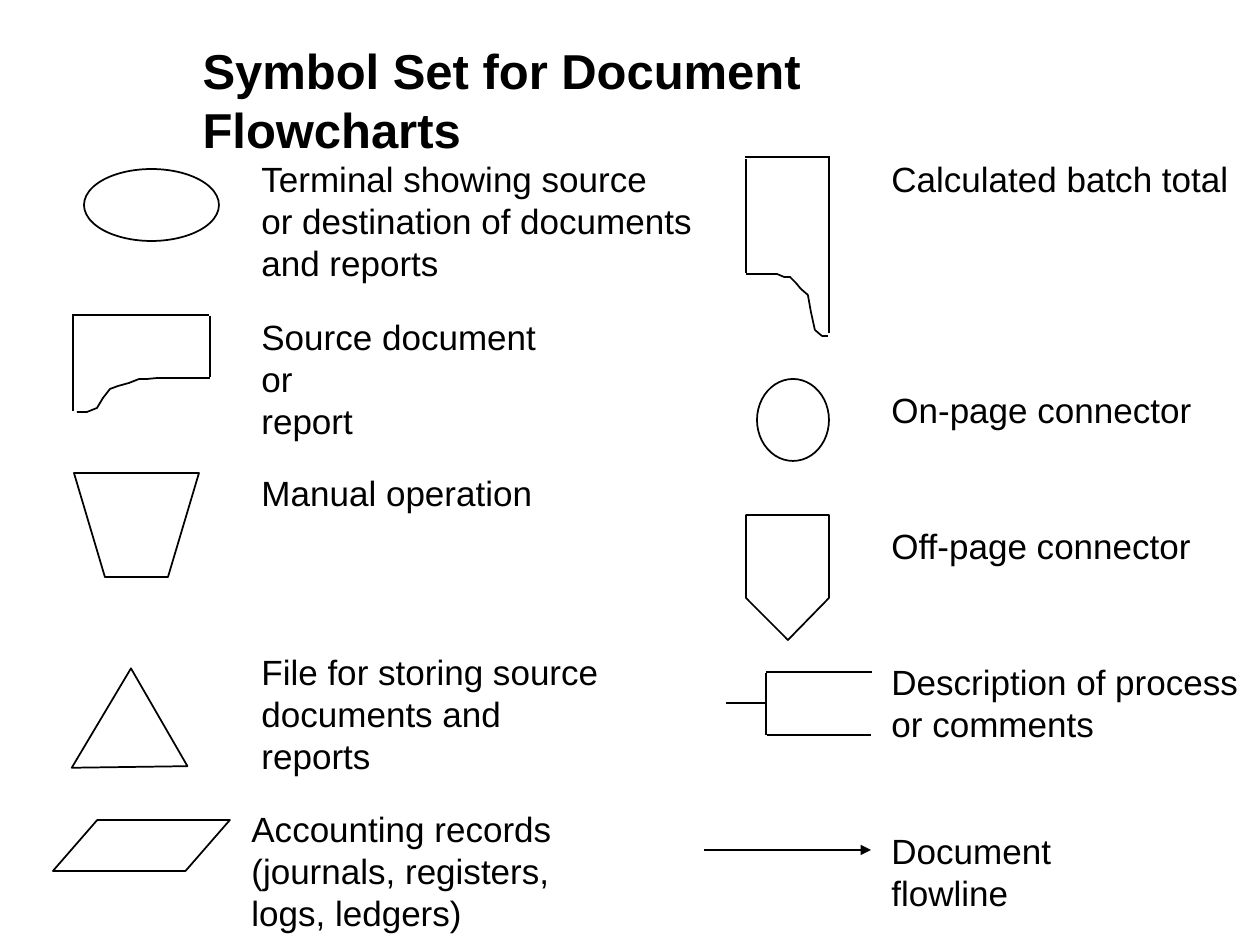
from typing import NamedTuple

from lxml import etree
from pptx import Presentation
from pptx.dml.color import RGBColor
from pptx.enum.shapes import MSO_CONNECTOR, MSO_SHAPE
from pptx.enum.text import MSO_ANCHOR, MSO_AUTO_SIZE, PP_ALIGN
from pptx.oxml.ns import qn
from pptx.util import Emu, Inches, Pt

STRAIGHT = MSO_CONNECTOR.STRAIGHT
ELLIPSE = MSO_SHAPE.OVAL
TRIANGLE = MSO_SHAPE.ISOSCELES_TRIANGLE
PARALLELOGRAM = MSO_SHAPE.PARALLELOGRAM
LEFT = PP_ALIGN.LEFT
TOP = MSO_ANCHOR.TOP
GROW = MSO_AUTO_SIZE.SHAPE_TO_FIT_TEXT

EMU_PER_PX = 914400 / 126
COLORS = {"ink": "000000", "paper": "FFFFFF"}
TITLE_FONT = {"name": "Arial", "size": Pt(28), "bold": True}
LABEL_FONT = {"name": "Arial", "size": Pt(20), "bold": False}
FRAME_FORMAT = {"word_wrap": False, "auto_size": GROW, "vertical_anchor": TOP}
LINE_HEIGHT = 42
LABEL_PADDING = 13

Point = tuple[int, int]


class Label(NamedTuple):
    left: int
    top: int
    width: int
    text: str


class Preset(NamedTuple):
    kind: MSO_SHAPE
    left: int
    top: int
    width: int
    height: int
    rotation: int = 0
    adjustment: float | None = None


class Outline(NamedTuple):
    points: list[Point]
    closed: bool = True


class Stroke(NamedTuple):
    start: Point
    end: Point
    arrow: bool = False


class Composite(NamedTuple):
    strokes: list[Stroke]
    curve: Outline | None = None


PRESETS = [
    Preset(ELLIPSE, 84, 169, 135, 72),
    Preset(TRIANGLE, 59, 692, 113, 101, rotation=240),
    Preset(PARALLELOGRAM, 53, 820, 177, 51, adjustment=0.87),
    Preset(ELLIPSE, 757, 379, 72, 82),
]

MANUAL_OPERATION = Outline([(74, 473), (105, 577), (168, 577), (199, 473)])
OFF_PAGE_CONNECTOR = Outline(
    [(746, 515), (746, 598), (788, 640), (829, 598), (829, 515)]
)

SOURCE_DOCUMENT = Composite(
    [
        Stroke((74, 315), (209, 315)),
        Stroke((210, 316), (210, 377)),
        Stroke((73, 411), (73, 314)),
        Stroke((210, 378), (156, 378)),
    ],
    Outline(
        [(157, 378), (147, 379), (139, 379), (129, 383), (118, 386),
         (110, 389), (103, 398), (97, 408), (87, 412), (77, 412)],
        closed=False,
    ),
)
BATCH_TOTAL = Composite(
    [
        Stroke((830, 157), (745, 157)),
        Stroke((746, 159), (746, 273)),
        Stroke((829, 333), (829, 156)),
        Stroke((746, 274), (777, 274)),
    ],
    Outline(
        [(777, 274), (784, 277), (790, 277), (796, 283), (801, 289),
         (808, 295), (811, 312), (815, 330), (822, 336), (828, 336)],
        closed=False,
    ),
)
COMMENT_BRACKET = Composite(
    [
        Stroke((872, 672), (766, 672)),
        Stroke((766, 673), (766, 735)),
        Stroke((767, 735), (871, 735)),
        Stroke((726, 703), (766, 703)),
    ]
)
FLOWLINE = Stroke((704, 850), (871, 850), arrow=True)

TITLE = Label(190, 34, 895, "Symbol Set for Document Flowcharts")
LABELS = [
    Label(249, 151, 456,
          "Terminal showing source\nor destination of documents\nand reports"),
    Label(249, 309, 340, "Source document or\nreport"),
    Label(249, 465, 296, "Manual operation"),
    Label(249, 644, 362, "File for storing source\ndocuments and\nreports"),
    Label(239, 801, 325,
          "Accounting records\n(journals, registers,\nlogs, ledgers)"),
    Label(879, 151, 363, "Calculated batch total"),
    Label(879, 382, 325, "On-page connector"),
    Label(879, 518, 325, "Off-page connector"),
    Label(879, 654, 372, "Description of process\nor comments"),
    Label(879, 823, 311, "Document flowline"),
]


def px(length: int) -> Emu:
    return Emu(round(length * EMU_PER_PX))


def ink_line(shape) -> None:
    shape.line.color.rgb = RGBColor.from_string(COLORS["ink"])
    shape.line.width = Pt(1)


def style_symbol(shape) -> None:
    shape.shadow.inherit = False
    shape.fill.background()
    ink_line(shape)


def draw_preset(shapes, preset: Preset) -> None:
    symbol = shapes.add_shape(preset.kind, *map(px, preset[1:5]))
    symbol.rotation = preset.rotation
    if preset.adjustment is not None:
        symbol.adjustments[0] = preset.adjustment
    style_symbol(symbol)


def draw_outline(shapes, outline: Outline) -> None:
    first, *rest = outline.points
    builder = shapes.build_freeform(*first, scale=EMU_PER_PX)
    builder.add_line_segments(rest, close=outline.closed)
    style_symbol(builder.convert_to_shape())


def draw_stroke(shapes, stroke: Stroke) -> None:
    connector = shapes.add_connector(
        STRAIGHT, *map(px, stroke.start + stroke.end)
    )
    ink_line(connector)
    properties = connector._element.spPr
    etree.SubElement(properties, qn("a:effectLst"))
    if stroke.arrow:
        etree.SubElement(properties.find(qn("a:ln")), qn("a:tailEnd"), type="triangle")


def draw_composite(shapes, composite: Composite) -> None:
    members = shapes.add_group_shape().shapes
    for stroke in composite.strokes:
        draw_stroke(members, stroke)
    if composite.curve:
        draw_outline(members, composite.curve)


def write_text(box, text: str, font_format: dict) -> None:
    frame = box.text_frame
    frame.text = text
    for attribute, value in FRAME_FORMAT.items():
        setattr(frame, attribute, value)
    for paragraph in frame.paragraphs:
        paragraph.alignment = LEFT
        for attribute, value in font_format.items():
            setattr(paragraph.font, attribute, value)
        paragraph.font.color.rgb = RGBColor.from_string(COLORS["ink"])


def draw_label(shapes, label: Label) -> None:
    height = LABEL_PADDING + LINE_HEIGHT * len(label.text.split("\n"))
    box = shapes.add_textbox(*map(px, (label.left, label.top, label.width, height)))
    write_text(box, label.text, LABEL_FONT)


def place_title(heading) -> None:
    heading.left, heading.top, heading.width = map(px, TITLE[:3])
    heading.height = px(71)
    write_text(heading, TITLE.text, TITLE_FONT)


def main() -> None:
    deck = Presentation()
    deck.slide_width, deck.slide_height = Inches(10), Inches(7.5)
    slide = deck.slides.add_slide(deck.slide_layouts[5])
    slide.background.fill.solid()
    slide.background.fill.fore_color.rgb = RGBColor.from_string(COLORS["paper"])
    place_title(slide.shapes.title)
    for preset in PRESETS:
        draw_preset(slide.shapes, preset)
    for outline in (MANUAL_OPERATION, OFF_PAGE_CONNECTOR):
        draw_outline(slide.shapes, outline)
    for composite in (SOURCE_DOCUMENT, BATCH_TOTAL, COMMENT_BRACKET):
        draw_composite(slide.shapes, composite)
    draw_stroke(slide.shapes, FLOWLINE)
    for label in LABELS:
        draw_label(slide.shapes, label)
    deck.save("out.pptx")


if __name__ == "__main__":
    main()
